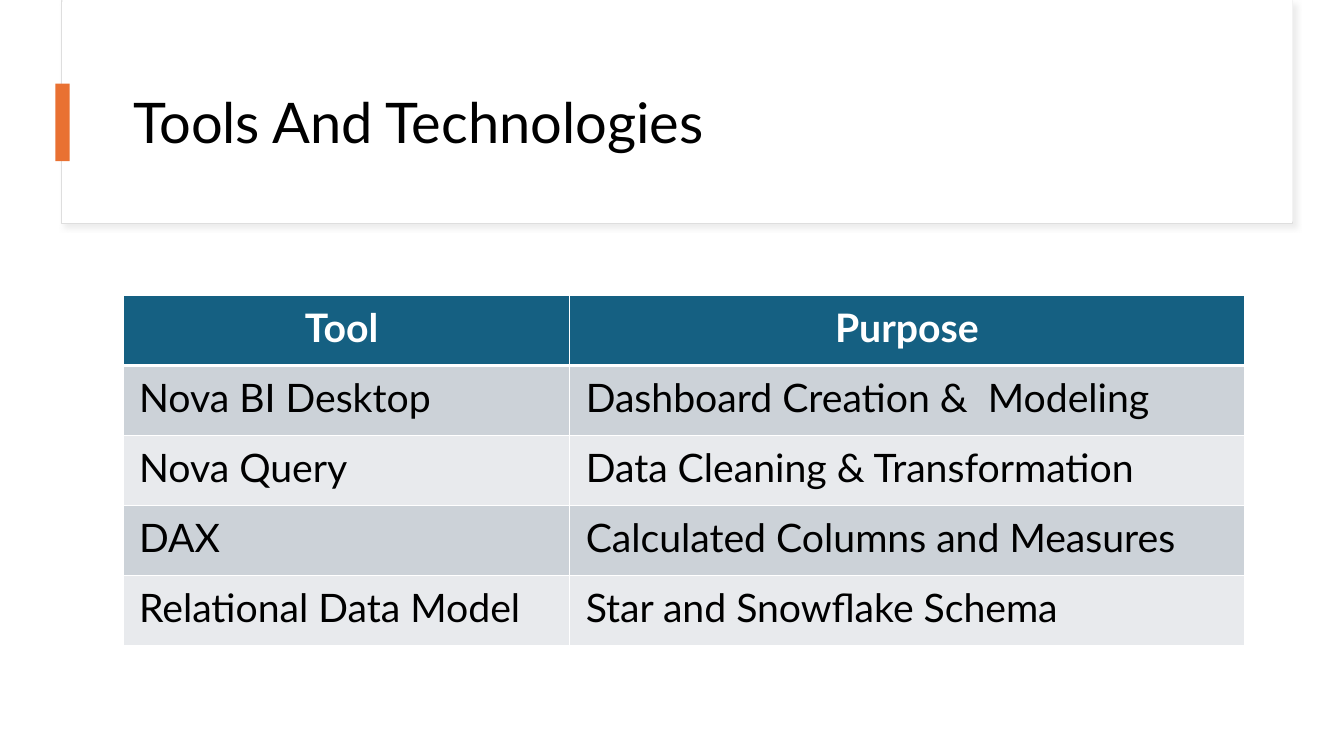
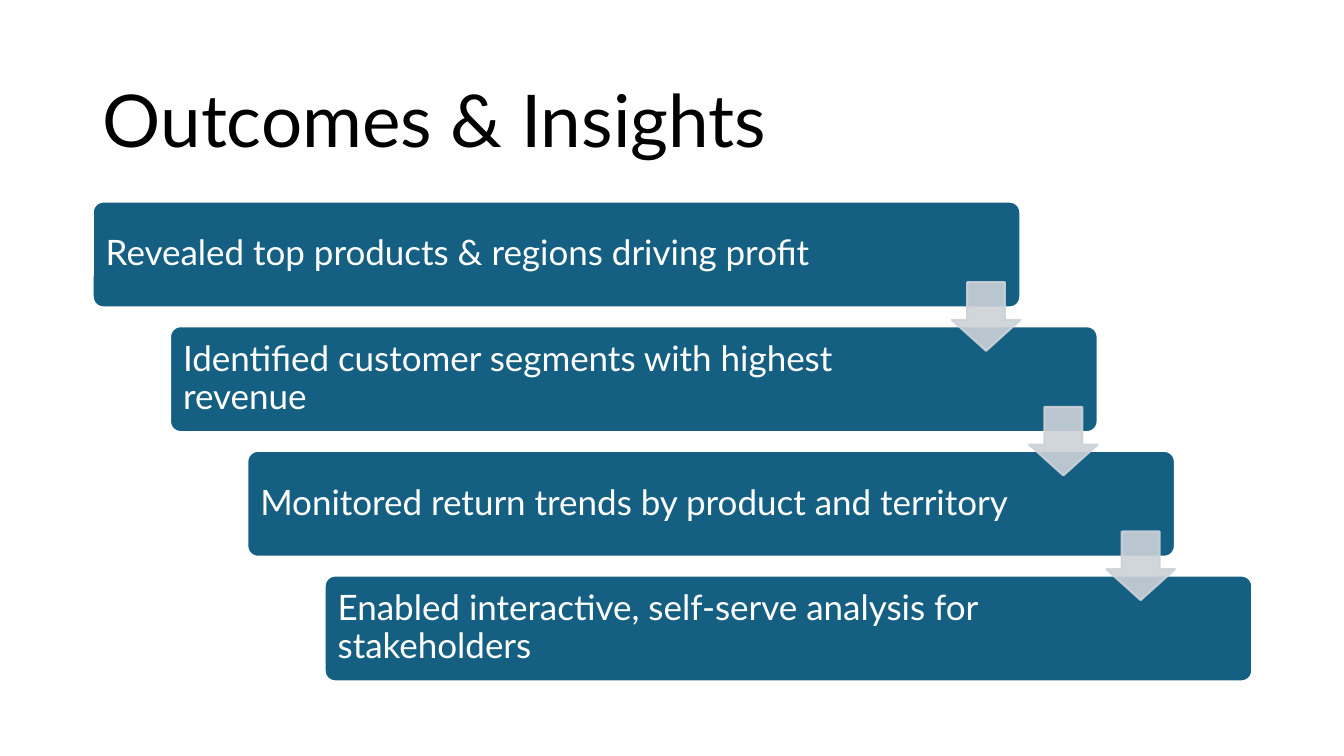
"""Build two slides: a table of tools and a staircase of outcomes."""
from dataclasses import dataclass

from lxml import etree
from pptx import Presentation
from pptx.dml.color import RGBColor
from pptx.enum.shapes import MSO_SHAPE as Shape
from pptx.enum.text import MSO_ANCHOR as Anchor, MSO_AUTO_SIZE as AutoSize, PP_ALIGN as Align
from pptx.oxml.ns import qn
from pptx.util import Inches, Pt


@dataclass(frozen=True)
class Theme:
    font: str = "Lato"
    white: str = "FFFFFF"
    black: str = "000000"
    blue: str = "156082"
    orange: str = "E97132"
    band: str = "CCD2D8"
    light_band: str = "E8EAED"
    outline: str = "DEDEDE"
    shadow: str = "D9D9D9"
    table_title: float = 40
    steps_title: float = 52
    table_text: float = 28
    step_text: float = 25


T = Theme()

TOOLS_TITLE = "Tools And Technologies"
TOOLS = [
    ("Tool ", "Purpose"),
    ("Nova BI Desktop", "Dashboard Creation &  Modeling"),
    ("Nova Query", "Data Cleaning & Transformation"),
    ("DAX", "Calculated Columns and Measures"),
    ("Relational Data Model", "Star and Snowflake Schema"),
]
COLUMN_WIDTHS = (4.43, 6.69)

OUTCOMES_TITLE = "Outcomes & Insights"
OUTCOMES = [
    "Revealed top products & regions driving profit",
    "Identified customer segments with highest revenue",
    "Monitored return trends by product and territory",
    "Enabled interactive, self-serve analysis for stakeholders",
]


def rgb(color):
    return RGBColor.from_string(color)


def inches(*lengths):
    return [Inches(n) for n in lengths]


def add_xml(parent, tag, **attrs):
    return etree.SubElement(parent, qn(tag), {k: str(v) for k, v in attrs.items()})


def style_paragraph(p, size, color, align=Align.LEFT, bold=False, spacing=None):
    p.alignment = align
    p.line_spacing = spacing
    p.font.name, p.font.size, p.font.bold = T.font, Pt(size), bold
    p.font.color.rgb = rgb(color)


def set_margins(target, left, top, right, bottom):
    target.margin_left, target.margin_top = inches(left, top)
    target.margin_right, target.margin_bottom = inches(right, bottom)


def add_title_slide(prs, text, box, size):
    s = prs.slides.add_slide(prs.slide_layouts[5])
    title = s.shapes.title
    title.left, title.top, title.width, title.height = inches(*box)
    tf = title.text_frame
    tf.text = text
    tf.word_wrap, tf.auto_size = True, AutoSize.NONE
    tf.vertical_anchor = Anchor.MIDDLE
    style_paragraph(tf.paragraphs[0], size, T.black, spacing=0.9)
    return s


def add_box(s, kind, box, fill, line=None, width=0.75, adjust=()):
    sp = s.shapes.add_shape(kind, *inches(*box))
    sp.shadow.inherit = False
    sp.fill.solid()
    sp.fill.fore_color.rgb = rgb(fill)
    if line:
        sp.line.color.rgb = rgb(line)
        sp.line.width = Pt(width)
    else:
        sp.line.fill.background()
    for i, value in enumerate(adjust):
        sp.adjustments[i] = value
    return sp


def add_shadow(sp):
    effects = sp._element.spPr.find(qn("a:effectLst"))
    shadow = add_xml(effects, "a:outerShdw", blurRad=Pt(4), dist=Pt(3),
                     dir=45 * 60000, algn="tl", rotWithShape=0)
    color = add_xml(shadow, "a:srgbClr", val=T.shadow)
    add_xml(color, "a:alpha", val=50000)


def set_alpha(sp, percent):
    for color in sp._element.spPr.iter(qn("a:srgbClr")):
        add_xml(color, "a:alpha", val=percent * 1000)


def set_borders(cell, header_rule):
    tc_pr = cell._tc.get_or_add_tcPr()
    thick = {"a:lnB": 3} if header_rule == "below" else {"a:lnT": 3} if header_rule == "above" else {}
    for i, tag in enumerate(("a:lnL", "a:lnR", "a:lnT", "a:lnB")):
        ln = etree.Element(qn(tag), {"w": str(Pt(thick.get(tag, 1)))})
        add_xml(add_xml(ln, "a:solidFill"), "a:srgbClr", val=T.white)
        tc_pr.insert(i, ln)


def add_tools_table(s, left, top, height):
    table = s.shapes.add_table(len(TOOLS), len(COLUMN_WIDTHS),
                               *inches(left, top, sum(COLUMN_WIDTHS), height)).table
    for column, width in zip(table.columns, COLUMN_WIDTHS):
        column.width = Inches(width)
    for r, row in enumerate(TOOLS):
        header = r == 0
        fill = T.blue if header else T.band if r % 2 else T.light_band
        for c, text in enumerate(row):
            cell = table.cell(r, c)
            cell.text = text
            cell.fill.solid()
            cell.fill.fore_color.rgb = rgb(fill)
            set_margins(cell, 0.16, 0.08, 0.16, 0.08)
            set_borders(cell, {0: "below", 1: "above"}.get(r))
            style_paragraph(cell.text_frame.paragraphs[0], T.table_text,
                            T.white if header else T.black,
                            Align.CENTER if header else Align.LEFT, header)


def build_tools(prs):
    s = add_title_slide(prs, TOOLS_TITLE, (1.22, 0.6, 11.12, 1.29), T.table_title)
    add_shadow(add_box(s, Shape.RECTANGLE, (0.61, 0.01, 12.21, 2.21), T.white, T.outline))
    add_box(s, Shape.RECTANGLE, (0.62, 0, 12.2, 2.2), T.white)
    s.shapes._spTree.append(s.shapes.title._element)
    add_box(s, Shape.RECTANGLE, (0.55, 0.83, 0.14, 0.77), T.orange)
    add_tools_table(s, 1.22, 2.93, 3.48)


def build_outcomes(prs):
    s = add_title_slide(prs, OUTCOMES_TITLE, (0.92, 0.61, 11.5, 1.24), T.steps_title)
    width, height, arrow, arrow_drop = 9.2, 1.05, 0.68, 0.8
    last = len(OUTCOMES) - 1
    dx, dy = (11.5 - width) / last, (4.76 - height) / last
    corners = [(0.92 + i * dx, 2 + i * dy) for i in range(len(OUTCOMES))]
    for (x, y), text in zip(corners, OUTCOMES):
        sp = add_box(s, Shape.ROUNDED_RECTANGLE, (x, y, width, height),
                     T.blue, T.white, 1.5, (0.1,))
        tf = sp.text_frame
        tf.text = text
        tf.word_wrap, tf.vertical_anchor = True, Anchor.MIDDLE
        set_margins(tf, 0.1, 0.1, 1.57, 0.1)
        style_paragraph(tf.paragraphs[0], T.step_text, T.white, spacing=0.9)
    for x, y in corners[:-1]:
        sp = add_box(s, Shape.DOWN_ARROW, (x + width - arrow, y + arrow_drop, arrow, arrow),
                     T.band, T.band, 1.5, (0.55, 0.45))
        set_alpha(sp, 90)


def main():
    prs = Presentation()
    prs.slide_width, prs.slide_height = inches(13.33, 7.5)
    build_tools(prs)
    build_outcomes(prs)
    prs.save("out.pptx")


if __name__ == "__main__":
    main()
